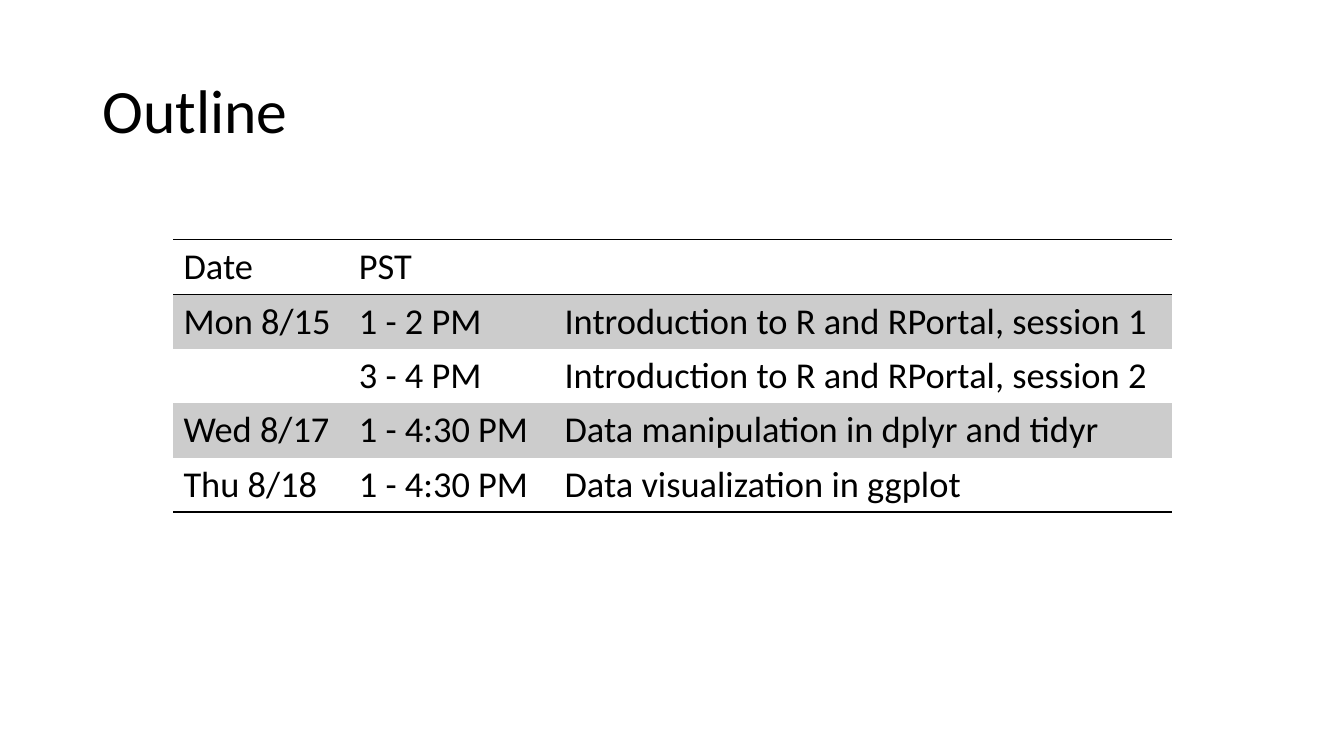
from dataclasses import dataclass
from lxml.etree import SubElement
from pptx import Presentation
from pptx.dml.color import RGBColor
from pptx.enum.text import MSO_ANCHOR
from pptx.oxml.ns import qn
from pptx.util import Inches, Pt


@dataclass(frozen=True)
class Theme:
    font: str = "Calibri"
    ink: str = "000000"
    band: str = "CCCCCC"
    title_size: int = 44
    table_size: int = 26
    rule_width: int = 1


theme = Theme()


def write(paragraph, text, size):
    paragraph.text = text
    formats = {"name": theme.font, "size": Pt(size), "bold": False}
    for name, value in formats.items():
        setattr(paragraph.font, name, value)
    paragraph.font.color.rgb = RGBColor.from_string(theme.ink)


def add_rule(cell, tag):
    line = SubElement(cell._tc.get_or_add_tcPr(), qn(tag), w=str(Pt(theme.rule_width)))
    fill = SubElement(line, qn("a:solidFill"))
    SubElement(fill, qn("a:srgbClr"), val=theme.ink)


presentation = Presentation()
presentation.slide_width = Inches(13.33)
presentation.slide_height = Inches(7.5)
slide = presentation.slides.add_slide(presentation.slide_layouts[6])

title = slide.shapes.add_textbox(Inches(0.92), Inches(0.4), Inches(11.5), Inches(1.45))
title.text_frame.word_wrap = True
title.text_frame.vertical_anchor = MSO_ANCHOR.MIDDLE
title_paragraph = title.text_frame.paragraphs[0]
title_paragraph.line_spacing = 0.9
write(title_paragraph, "Outline", theme.title_size)

schedule = [
    ("Date", "PST", ""),
    ("Mon 8/15", "1 - 2 PM", "Introduction to R and RPortal, session 1"),
    ("", "3 - 4 PM", "Introduction to R and RPortal, session 2"),
    ("Wed 8/17", "1 - 4:30 PM", "Data manipulation in dplyr and tidyr"),
    ("Thu 8/18", "1 - 4:30 PM", "Data visualization in ggplot"),
]
column_widths = [1.74, 2.04, 6.12]
row_height = 0.54
rules = {0: ("a:lnT", "a:lnB"), len(schedule) - 1: ("a:lnB",)}

table = slide.shapes.add_table(
    len(schedule), len(column_widths), Inches(1.72), Inches(2.38),
    Inches(sum(column_widths)), Inches(row_height * len(schedule)),
).table
table.first_row = False
table.horz_banding = False
table_style = table._tbl.tblPr.find(qn("a:tableStyleId"))
table_style.text = "{2D5ABB26-0587-4C30-8999-92F81FD0307C}"
for column, width in zip(table.columns, column_widths):
    column.width = Inches(width)

for row_index, entries in enumerate(schedule):
    table.rows[row_index].height = Inches(row_height)
    for column_index, text in enumerate(entries):
        cell = table.cell(row_index, column_index)
        write(cell.text_frame.paragraphs[0], text, theme.table_size)
        for tag in rules.get(row_index, ()):
            add_rule(cell, tag)
        if row_index % 2:
            cell.fill.solid()
            cell.fill.fore_color.rgb = RGBColor.from_string(theme.band)
        else:
            cell.fill.background()

presentation.save("out.pptx")
